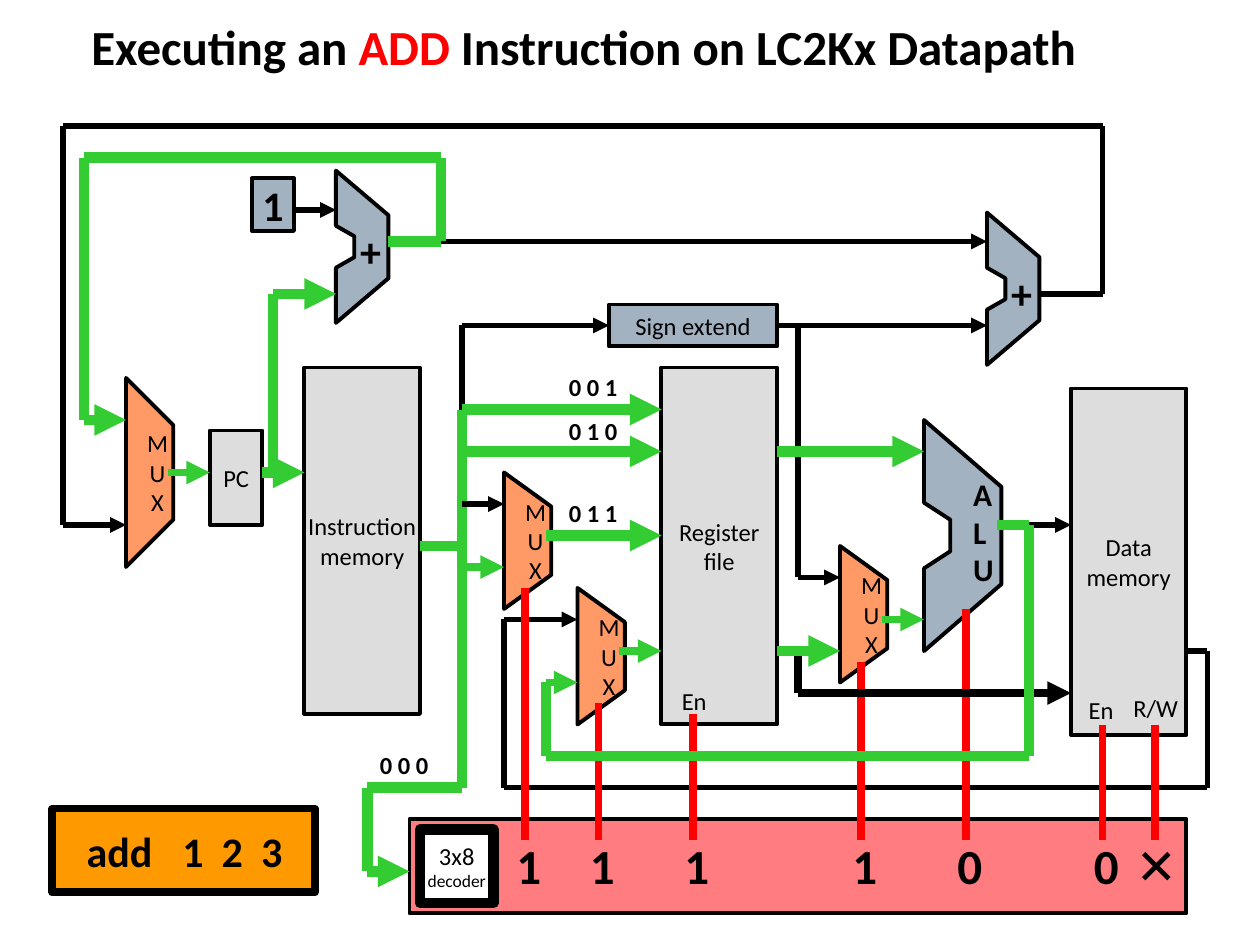
from itertools import pairwise

from lxml.etree import SubElement
from pptx import Presentation
from pptx.dml.color import RGBColor
from pptx.enum.shapes import MSO_CONNECTOR, MSO_SHAPE
from pptx.enum.text import MSO_ANCHOR, MSO_AUTO_SIZE, PP_ALIGN
from pptx.oxml.ns import qn
from pptx.util import Pt

PX = 9525
COLORS = {
    "ink": "000000",
    "storage": "DDDDDD",
    "logic": "A3B2C1",
    "mux": "FF9966",
    "control": "FF7C80",
    "instruction": "FF9900",
    "active": "33CC33",
    "signal": "FF0000",
    "paper": "FFFFFF",
}


def color(name):
    return RGBColor.from_string(COLORS[name])


class Datapath:
    font = "Calibri"

    def __init__(self, slide):
        self.slide = slide
        self.shapes = slide.shapes

    def add_run(self, paragraph, text, size, bold=False, ink="ink"):
        run = paragraph.add_run()
        run.text = text
        run.font.name = self.font
        run.font.size = Pt(size)
        run.font.bold = bold
        run.font.color.rgb = color(ink)

    def add_lines(self, frame, lines, size, bold=False, align=PP_ALIGN.CENTER):
        frame.word_wrap = False
        for index, line in enumerate(lines):
            paragraph = frame.add_paragraph() if index else frame.paragraphs[0]
            paragraph.alignment = align
            self.add_run(paragraph, line, size, bold)

    def paint(self, shape, fill, width=2.25):
        shape.shadow.inherit = False
        shape.fill.solid()
        shape.fill.fore_color.rgb = color(fill)
        shape.line.color.rgb = color("ink")
        shape.line.width = Pt(width)
        shape.text_frame.vertical_anchor = MSO_ANCHOR.MIDDLE
        return shape

    def title(self, parts, x, y, w, h):
        heading = self.shapes.title
        heading.left, heading.top, heading.width, heading.height = (
            v * PX for v in (x, y, w, h))
        heading.text_frame.vertical_anchor = MSO_ANCHOR.TOP
        paragraph = heading.text_frame.paragraphs[0]
        paragraph.alignment = PP_ALIGN.LEFT
        for text, ink in parts:
            self.add_run(paragraph, text, 28, True, ink)

    def block(self, x, y, w, h, fill, lines=(), size=14, bold=False, width=2.25):
        box = self.shapes.add_shape(
            MSO_SHAPE.RECTANGLE, x * PX, y * PX, w * PX, h * PX)
        self.paint(box, fill, width)
        self.add_lines(box.text_frame, lines, size, bold)
        return box

    def instruction(self, x, y, w, h, words, indent, stops):
        box = self.block(x, y, w, h, "instruction", width=4.5)
        frame = box.text_frame
        frame.margin_left = indent * PX
        paragraph = frame.paragraphs[0]
        paragraph.alignment = PP_ALIGN.LEFT
        tabs = SubElement(paragraph._p.get_or_add_pPr(), qn("a:tabLst"))
        for stop in stops:
            SubElement(tabs, qn("a:tab"), pos=str(stop * PX), algn="l")
        self.add_run(paragraph, "\t".join(words), 24, True)
        frame.word_wrap = True

    def outline(self, points, fill):
        builder = self.shapes.build_freeform(*points[0], scale=PX)
        builder.add_line_segments(points[1:], close=True)
        return self.paint(builder.convert_to_shape(), fill)

    def mux(self, x, y, h, w=36):
        slant = h / 4
        shape = self.outline(
            [(x, y), (x + w, y + slant), (x + w, y + h - slant), (x, y + h)], "mux")
        frame = shape.text_frame
        frame.margin_left = 12 * PX
        frame.margin_right = frame.margin_top = frame.margin_bottom = 0
        self.add_lines(frame, "MUX", 14)

    def adder(self, x, y, w, h):
        upper = [(1, 0.29), (0, 0), (0, 0.36), (0.34, 0.43)]
        lower = [(across, 1 - down) for across, down in reversed(upper)]
        self.outline(
            [(x + across * w, y + down * h) for across, down in upper + lower], "logic")

    def label(self, x, y, w, h, lines, size=14, bold=False):
        box = self.shapes.add_textbox(x * PX, y * PX, w * PX, h * PX)
        self.add_lines(box.text_frame, lines, size, bold, PP_ALIGN.LEFT)
        box.text_frame.auto_size = MSO_AUTO_SIZE.SHAPE_TO_FIT_TEXT

    def wire(self, points, ink="ink", width=3, arrow=True, source=None, target=None):
        for start, end in pairwise(points):
            segment = self.shapes.add_connector(
                MSO_CONNECTOR.STRAIGHT, *(v * PX for v in start + end))
            segment.line.color.rgb = color(ink)
            segment.line.width = Pt(width)
            if source and start == points[0]:
                segment.begin_connect(source, 3)
            if target and end == points[-1]:
                segment.end_connect(target, 1)
            properties = segment._element.spPr
            if arrow and end == points[-1]:
                SubElement(properties.find(qn("a:ln")), qn("a:tailEnd"), type="triangle")
            SubElement(properties, qn("a:effectLst"))


def main():
    deck = Presentation()
    deck.slide_width, deck.slide_height = 960 * PX, 720 * PX
    datapath = Datapath(deck.slides.add_slide(deck.slide_layouts[5]))

    datapath.title([("Executing an ", "ink"), ("ADD", "signal"),
                    (" Instruction on LC2Kx Datapath", "ink")], 60, 8, 840, 88)

    datapath.block(160, 328, 40, 72, "storage", ["PC"])
    datapath.block(232, 280, 88, 264, "storage", ["Instruction", "memory"])
    datapath.block(504, 280, 88, 272, "storage", ["Register", "file"])
    datapath.block(816, 296, 88, 264, "storage", ["Data", "memory"])
    datapath.block(312, 624, 592, 72, "control")
    sign_extend = datapath.block(464, 232, 128, 32, "logic", ["Sign extend"])
    datapath.block(192, 136, 32, 40, "logic", ["1"], 24, True)

    datapath.wire([(592, 248), (752, 248)], source=sign_extend)
    datapath.wire([(352, 600), (352, 248), (464, 248)], target=sign_extend)
    for route in (
        [(296, 184), (752, 184)],
        [(904, 496), (920, 496), (920, 600), (384, 600), (384, 472), (440, 472)],
        [(792, 224), (840, 224), (840, 96), (48, 96), (48, 400), (96, 400)],
        [(224, 160), (256, 160)],
        [(608, 248), (608, 440), (640, 440)],
        [(760, 400), (816, 400)],
    ):
        datapath.wire(route)

    for x, y, h in ((96, 288, 144), (384, 360, 104), (440, 448, 104), (640, 416, 104)):
        datapath.mux(x, y, h)
    for x, y in ((256, 130), (752, 162)):
        datapath.adder(x, y, 40, 116)
        datapath.label(x + 9, y + 37, 36, 49, ["+"], 24, True)
    datapath.adder(704, 320, 59, 176)
    datapath.label(732, 357, 36, 97, "ALU", 18, True)

    for x, top, value in ((400, 448, "1"), (456, 536, "1"), (528, 544, "1"),
                          (656, 504, "1"), (736, 464, "0"), (840, 552, "0")):
        datapath.wire([(x, top), (x, 640)], "signal", 4.5, False)
        datapath.label(x - 16, 632, 38, 55, [value], 28, True)
    datapath.wire([(880, 552), (880, 640)], "signal", 4.5, False)
    datapath.label(856, 632, 57, 55, ["✕"], 28)

    datapath.wire([(608, 496), (608, 528), (816, 528)], width=4.5)
    decoder = datapath.block(320, 632, 56, 56, "paper", ["3x8"], width=6)
    caption = decoder.text_frame.add_paragraph()
    caption.alignment = PP_ALIGN.CENTER
    datapath.add_run(caption, "decoder", 10)
    datapath.instruction(40, 616, 200, 64, ["add", "1", "2", "3"], 26, (73, 103, 133))

    for route in (
        [(352, 312), (352, 600), (280, 600), (280, 664), (312, 664)],
        [(296, 184), (336, 184), (336, 120), (64, 120), (64, 320), (96, 320)],
        [(200, 360), (232, 360)],
        [(208, 360), (208, 224), (256, 224)],
        [(352, 312), (504, 312)],
        [(352, 344), (504, 344)],
        [(416, 408), (504, 408)],
        [(592, 344), (704, 344)],
        [(592, 496), (640, 496)],
    ):
        datapath.wire(route, "active", 6)
    datapath.wire([(320, 416), (352, 416)], "active", 6, False)
    datapath.wire([(760, 400), (784, 400), (784, 576), (416, 576), (416, 520)],
                  "active", 6, False)
    for start, end, y in ((128, 160, 360), (352, 384, 432), (416, 440, 520),
                          (472, 504, 496), (672, 704, 472)):
        datapath.wire([(start, y), (end, y)], "active", 4.5)
    datapath.wire([(352, 384), (384, 384)])

    for x, y, bits in ((424, 279, "0 0 1"), (424, 312, "0 1 0"),
                       (424, 375, "0 1 1"), (280, 567, "0 0 0")):
        datapath.label(x, y, 57, 33, [bits], bold=True)
    for x, y, w, port in ((510, 518, 38, "En"), (820, 525, 38, "En"),
                          (854, 523, 54, "R/W")):
        datapath.label(x, y, w, 33, [port])

    deck.save("out.pptx")


if __name__ == "__main__":
    main()
